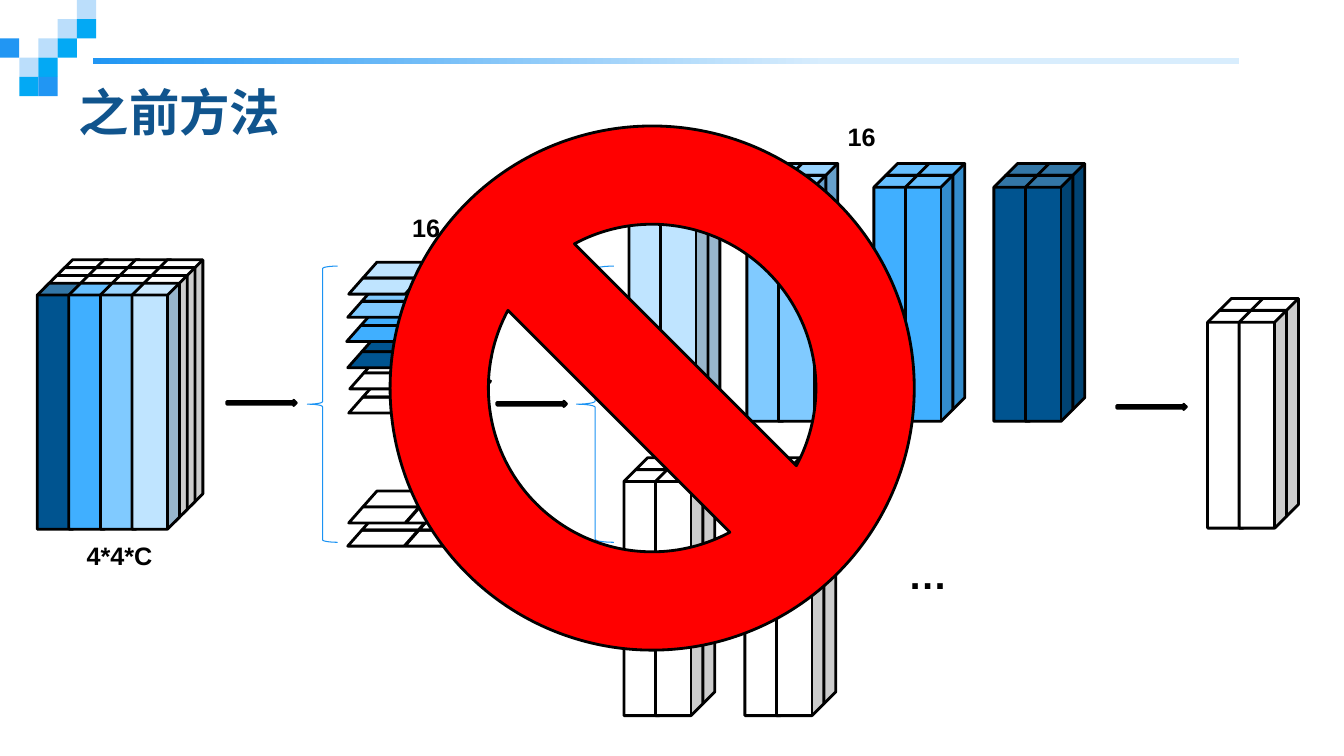
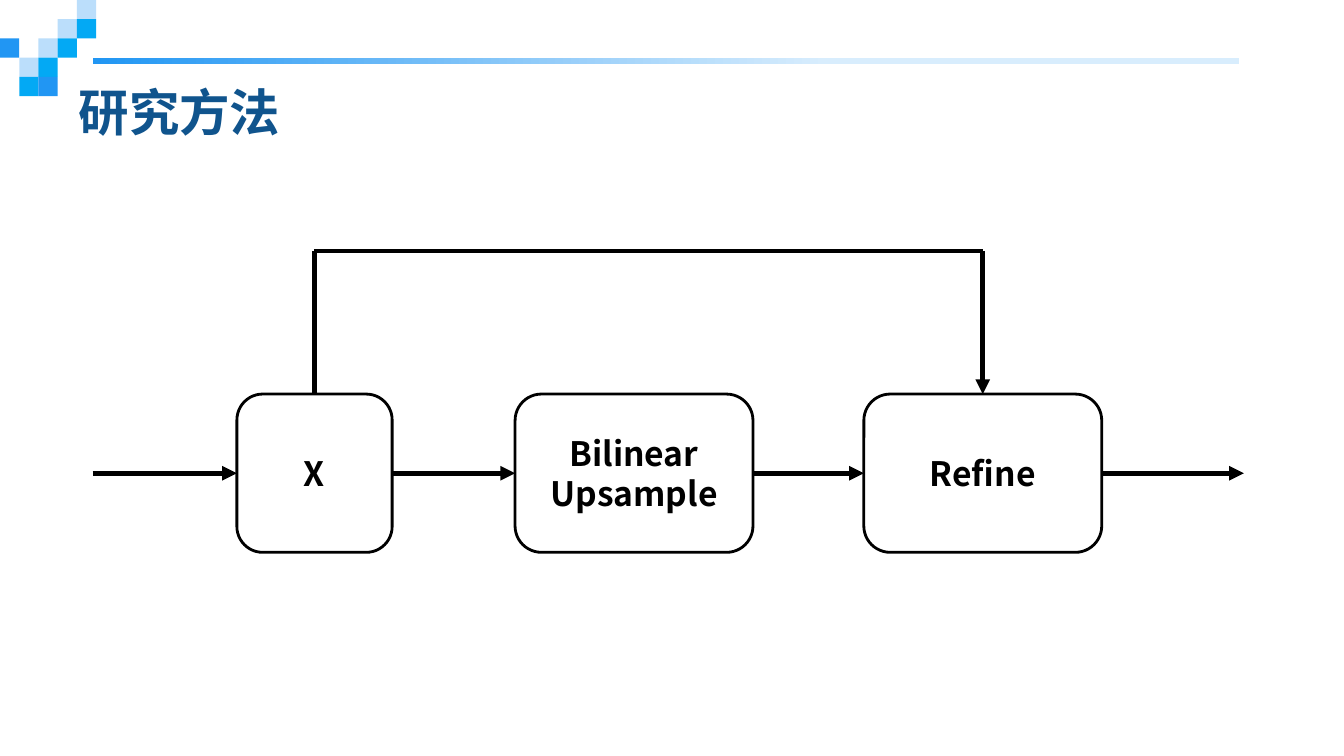
from dataclasses import dataclass
from typing import Any, NamedTuple

from lxml import etree
from pptx import Presentation
from pptx.dml.color import RGBColor
from pptx.enum.shapes import MSO_CONNECTOR, MSO_SHAPE
from pptx.enum.text import MSO_ANCHOR, PP_ALIGN
from pptx.oxml.ns import qn
from pptx.util import Inches, Pt

RECT, ROUND_RECT = MSO_SHAPE.RECTANGLE, MSO_SHAPE.ROUNDED_RECTANGLE
CUBE, TILE = MSO_SHAPE.CUBE, MSO_SHAPE.FLOWCHART_DATA
BRACE, ARROW, BAN = MSO_SHAPE.LEFT_BRACE, MSO_SHAPE.RIGHT_ARROW, MSO_SHAPE.NO_SYMBOL
STRAIGHT = MSO_CONNECTOR.STRAIGHT
LEFT, CENTER, MIDDLE = PP_ALIGN.LEFT, PP_ALIGN.CENTER, MSO_ANCHOR.MIDDLE
TOP_SIDE, LEFT_SIDE, RIGHT_SIDE = 0, 1, 3

COLUMNS, ROWS = 160, 90
TITLE_ONLY = 5


@dataclass(frozen=True)
class Theme:
    ink: str = "000000"
    paper: str = "FFFFFF"
    title: str = "10548D"
    accent: str = "2196F3"
    sky: str = "03A9F4"
    mist: str = "BBDEFB"
    band_end: str = "D8EDFD"
    brace: str = "1B93F3"
    ban: str = "FF0000"
    pale: str = "BFE4FF"
    light: str = "80CAFF"
    mid: str = "40AFFF"
    dark: str = "005490"
    heading_font: str = "Noto Sans CJK SC"
    label_font: str = "Arial"
    title_size: float = 36
    dots_size: float = 28
    box_size: float = 24
    label_size: float = 18
    outline: float = 2
    hairline: float = 0.75
    flow: float = 3.5
    bypass: float = 3.25


class Port(NamedTuple):
    """The middle of one side of a box."""
    box: Any
    side: int


class Deck:
    def __init__(self, theme):
        self.theme = theme
        self.prs = Presentation()
        self.prs.slide_width, self.prs.slide_height = Inches(13.33), Inches(7.5)
        self.layout = self.prs.slide_layouts[TITLE_ONLY]
        self.slide = None

    def x(self, columns):
        return round(self.prs.slide_width * columns / COLUMNS)

    def y(self, rows):
        return round(self.prs.slide_height * rows / ROWS)

    def place(self, left, top, width, height):
        return self.x(left), self.y(top), self.x(width), self.y(height)

    def add_words(self, paragraph, text, size, color, font):
        run = paragraph.add_run()
        run.text = text
        run.font.size, run.font.bold, run.font.name = Pt(size), True, font
        run.font.color.rgb = RGBColor.from_string(color)
        east_asian = etree.SubElement(run._r.get_or_add_rPr(), qn("a:ea"))
        east_asian.set("typeface", font)

    def new_slide(self, heading):
        theme = self.theme
        self.slide = self.prs.slides.add_slide(self.layout)
        title = self.slide.shapes.title
        title.left, title.top, title.width, title.height = self.place(8.16, 9, 130.44, 8.52)
        title.fill.solid()
        title.fill.fore_color.rgb = RGBColor.from_string(theme.paper)
        title.text_frame.vertical_anchor = MIDDLE
        paragraph = title.text_frame.paragraphs[0]
        paragraph.alignment = LEFT
        self.add_words(paragraph, heading, theme.title_size, theme.title, theme.heading_font)

    def shape(self, kind, left, top, width, height, fill=None, line=None, weight=None):
        shape = self.slide.shapes.add_shape(kind, *self.place(left, top, width, height))
        shape.shadow.inherit = False
        if fill:
            shape.fill.solid()
            shape.fill.fore_color.rgb = RGBColor.from_string(fill)
        else:
            shape.fill.background()
        if line:
            shape.line.color.rgb = RGBColor.from_string(line)
            shape.line.width = Pt(weight or self.theme.outline)
        else:
            shape.line.fill.background()
        return shape

    def decorate_layout(self):
        """Draw the band and the corner pixels once, then hand them to the layout."""
        theme = self.theme
        band = self.shape(RECT, 11.04, 6.96, 136.44, 0.72, theme.accent)
        band.fill.gradient()
        band.fill.gradient_angle = 0
        stops = zip(band.fill.gradient_stops, (0, 0.64), (theme.accent, theme.band_end))
        for stop, position, color in stops:
            stop.position = position
            stop.color.rgb = RGBColor.from_string(color)
        pixel = 2.29
        colors = {"a": theme.accent, "s": theme.sky, "m": theme.mist}
        pattern = ("....m", "...ms", "a.ms.", ".ms..", ".sa..")
        parts = [band] + [
            self.shape(RECT, column * pixel, row * pixel, pixel, pixel, colors[mark])
            for row, marks in enumerate(pattern)
            for column, mark in enumerate(marks) if mark in colors]
        for part in parts:
            self.layout.shapes.element.append(part.element)

    def block(self, left, top, front, depth=2, shift=1.42, height=29.28, back=None):
        """Stack cubes from the back; left and top give the front left cube."""
        pitch, width = 3.76, 5.64
        for layer in reversed(range(depth)):
            for column, color in enumerate(front):
                fill = back if layer and back else color
                self.shape(CUBE, left + column * pitch + layer * shift,
                           top - layer * shift, width, height, fill, self.theme.ink)

    def feature_map(self, left, top, fill):
        """Two by two slanted tiles; left and top give the front left tile."""
        pitch, slant, width, height = 6.8, 1.68, 8.4, 1.9
        for row in (1, 0):
            for column in (0, 1):
                self.shape(TILE, left + column * pitch + row * slant,
                           top - row * height, width, height, fill, self.theme.ink)

    def label(self, left, top, width, height, text, size):
        frame = self.slide.shapes.add_textbox(*self.place(left, top, width, height)).text_frame
        frame.word_wrap = True
        self.add_words(frame.paragraphs[0], text, size, self.theme.ink, self.theme.label_font)

    def brace(self, left, width):
        self.shape(BRACE, left, 31.68, width, 32.88, None, self.theme.brace,
                   self.theme.hairline)

    def step_arrow(self, left, top):
        self.shape(ARROW, left, top, 8.28, 0.64, self.theme.paper, self.theme.ink)

    def box(self, left, top, width, height, *lines):
        theme = self.theme
        box = self.shape(ROUND_RECT, left, top, width, height, theme.paper, theme.ink)
        frame = box.text_frame
        frame.vertical_anchor = MIDDLE
        for index, text in enumerate(lines):
            paragraph = frame.add_paragraph() if index else frame.paragraphs[0]
            paragraph.alignment = CENTER
            self.add_words(paragraph, text, theme.box_size, theme.ink, theme.heading_font)
        return box

    def connect(self, start, end, weight, arrow=True):
        """Join two ends, each a Port or a (column, row) point."""
        points = [(0, 0) if isinstance(spot, Port) else (self.x(spot[0]), self.y(spot[1]))
                  for spot in (start, end)]
        line = self.slide.shapes.add_connector(STRAIGHT, *points[0], *points[1])
        if isinstance(start, Port):
            line.begin_connect(*start)
        if isinstance(end, Port):
            line.end_connect(*end)
        line.line.color.rgb = RGBColor.from_string(self.theme.ink)
        line.line.width = Pt(weight)
        properties = line.element.spPr
        if arrow:
            etree.SubElement(properties.get_or_add_ln(), qn("a:tailEnd")).set("type", "triangle")
        etree.SubElement(properties, qn("a:effectLst"))


def previous_method(deck):
    theme = deck.theme
    deck.new_slide("之前方法")
    deck.decorate_layout()

    deck.block(4.44, 33.72, (theme.dark, theme.mid, theme.light, theme.pale),
               depth=4, shift=0.93, back=theme.paper)
    deck.label(9.12, 63.72, 10.44, 4.8, "4*4*C", theme.label_size)

    for left, top, fill in (
            (41.52, 47.28, None), (41.64, 44.4, theme.paper), (41.4, 41.88, theme.dark),
            (41.28, 38.76, theme.mid), (41.4, 35.88, theme.light), (41.52, 33.12, theme.pale),
            (41.4, 63.12, None), (41.52, 60.36, theme.paper)):
        deck.feature_map(left, top, fill)
    deck.label(47.88, 24.72, 6.24, 4.8, "16", theme.label_size)
    deck.label(46.44, 49.44, 13.92, 6.84, "…", theme.dots_size)

    for left, color in ((74.88, theme.pale), (88.92, theme.light),
                        (104.04, theme.mid), (118.32, theme.dark)):
        deck.block(left, 20.88, (color, color))
    deck.label(99.72, 13.8, 6.24, 4.8, "16", theme.label_size)

    blank = (theme.paper, theme.paper)
    for left in (74.28, 88.68):
        deck.block(left, 55.92, blank)
    deck.label(106.92, 64.92, 13.92, 6.84, "…", theme.dots_size)
    deck.block(143.76, 36.96, blank, height=25.92)

    for left, width in ((36.6, 3.6), (68.64, 4.44)):
        deck.brace(left, width)
    for left, top in ((27, 47.64), (59.16, 47.76), (132.96, 48.12)):
        deck.step_arrow(left, top)
    deck.shape(BAN, 46.44, 15, 62.4, 62.4, theme.ban, theme.ink)


def research_method(deck):
    theme = deck.theme
    deck.new_slide("研究方法")
    top, height, bypass_row = 46.92, 18.84, 29.88
    middle = top + height / 2
    source = deck.box(28.2, top, 18.48, height, "X")
    upsample = deck.box(61.32, top, 28.32, height, "Bilinear", "Upsample")
    refine = deck.box(102.84, top, 28.32, height, "Refine")

    over_source, over_refine = (37.44, bypass_row), (117, bypass_row)
    for start, end in (
            ((11.04, middle), Port(source, LEFT_SIDE)),
            (Port(source, RIGHT_SIDE), Port(upsample, LEFT_SIDE)),
            (Port(upsample, RIGHT_SIDE), Port(refine, LEFT_SIDE)),
            (over_refine, Port(refine, TOP_SIDE)),
            (Port(refine, RIGHT_SIDE), (148.08, middle))):
        deck.connect(start, end, theme.flow)
    for start, end in ((over_source, over_refine), (over_source, Port(source, TOP_SIDE))):
        deck.connect(start, end, theme.bypass, arrow=False)


def main():
    deck = Deck(Theme())
    previous_method(deck)
    research_method(deck)
    deck.prs.save("out.pptx")


if __name__ == "__main__":
    main()
